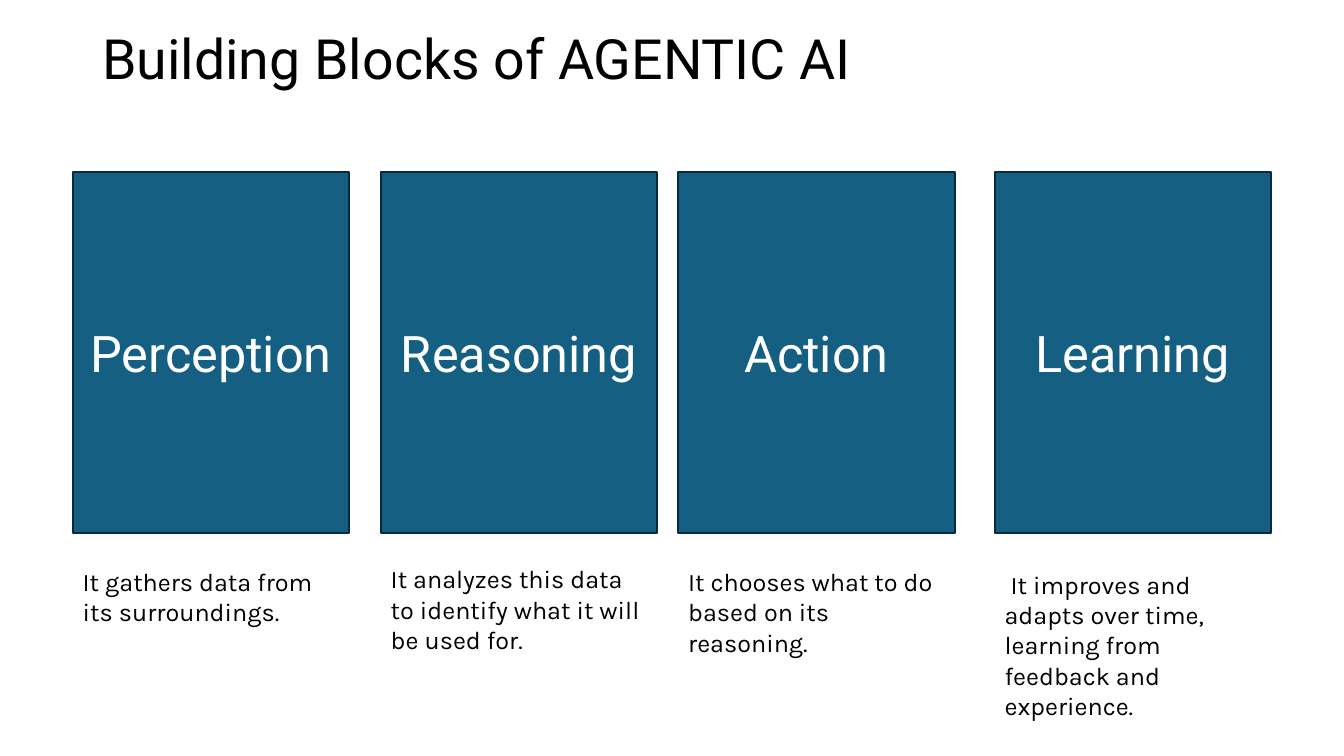
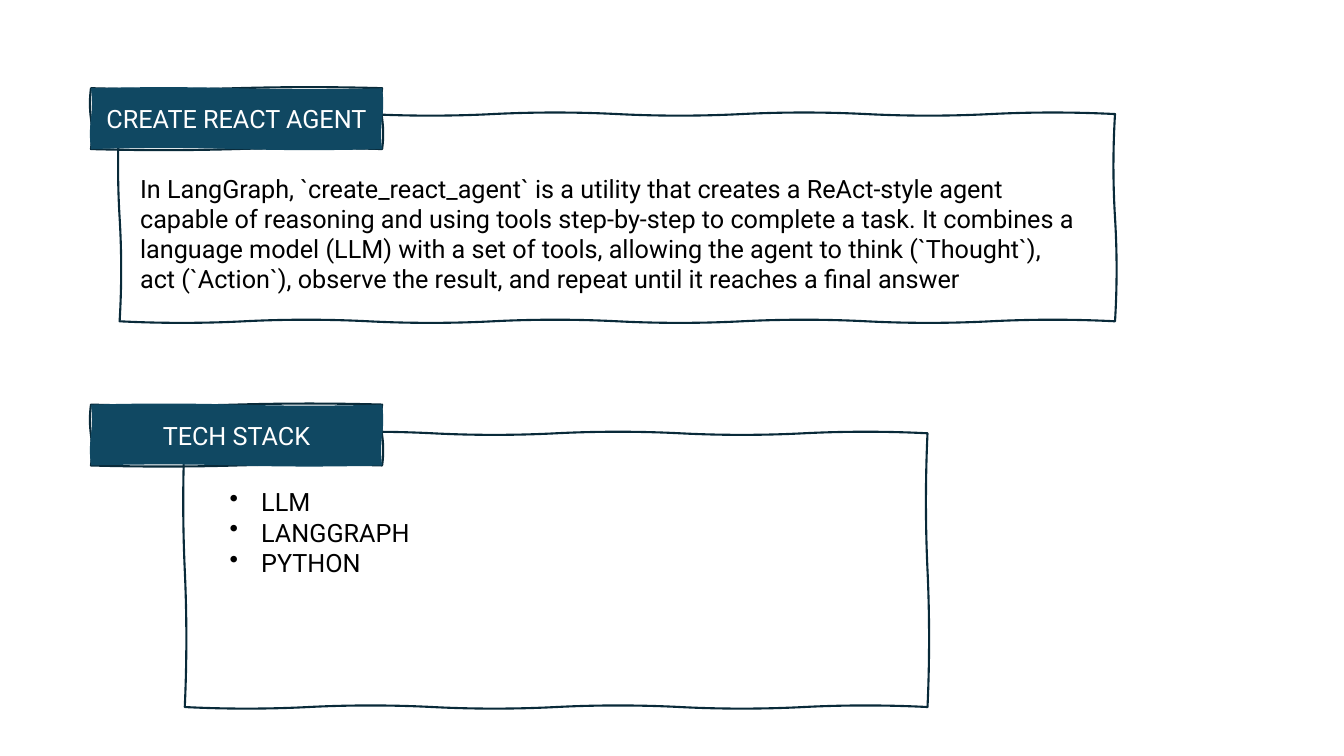
"""Build two slides on the building blocks and tools of agentic AI."""
import math
from dataclasses import dataclass

from pptx import Presentation
from pptx.dml.color import RGBColor
from pptx.enum import shapes, text
from pptx.oxml import ns, xmlchemy
from pptx.util import Pt


@dataclass(frozen=True)
class Theme:
    """Colours, fonts and type sizes shared by the slides."""

    ink: RGBColor = RGBColor(0x00, 0x00, 0x00)
    paper: RGBColor = RGBColor(0xFF, 0xFF, 0xFF)
    card: RGBColor = RGBColor(0x15, 0x60, 0x82)
    banner: RGBColor = RGBColor(0x10, 0x48, 0x62)
    outline: RGBColor = RGBColor(0x09, 0x2A, 0x39)
    outline_width: float = 1.5
    sans: str = "Roboto"
    caption_font: str = "Karla"
    title_size: float = 39.6
    card_size: float = 36
    body_size: float = 18


THEME = Theme()

BLOCKS = [
    ("Perception", "It gathers data from its surroundings.", 52, 401),
    ("Reasoning", "It analyzes this data to identify what it will be used for.", 272, 399),
    ("Action", "It chooses what to do based on its reasoning.", 484.5, 401),
    ("Learning", " It improves and adapts over time, learning from feedback and experience.", 710.5, 403),
]
AGENT_TEXT = (
    "In LangGraph, `create_react_agent` is a utility that creates a ReAct-style agent "
    "capable of reasoning and using tools step-by-step to complete a task. It combines "
    "a language model (LLM) with a set of tools, allowing the agent to think (`Thought`), "
    "act (`Action`), observe the result, and repeat until it reaches a final answer"
)
TECH_STACK = ["LLM", "LANGGRAPH", "PYTHON"]


def add_bullet(paragraph, indent):
    """Give a paragraph a hanging round bullet."""
    properties = paragraph._p.get_or_add_pPr()
    properties.set("marL", str(Pt(indent)))
    properties.set("indent", str(-Pt(indent)))
    bullet = xmlchemy.OxmlElement("a:buChar")
    bullet.set("char", "•")
    properties.append(bullet)


def write(shape, *lines, size=THEME.body_size, font=THEME.sans, color=THEME.ink,
          align=text.PP_ALIGN.LEFT, anchor=text.MSO_ANCHOR.TOP, spacing=None, bullet_indent=None):
    """Fill a shape with formatted paragraphs, one for each line."""
    frame = shape.text_frame
    frame.word_wrap = True
    frame.vertical_anchor = anchor
    for index, line in enumerate(lines):
        paragraph = frame.add_paragraph() if index else frame.paragraphs[0]
        paragraph.alignment = align
        paragraph.line_spacing = spacing
        if bullet_indent:
            add_bullet(paragraph, bullet_indent)
        run = paragraph.add_run()
        run.text = line
        run.font.size = Pt(size)
        run.font.name = font
        run.font.color.rgb = color


def write_centred(shape, line, size):
    """Put one light line in the middle of a dark shape."""
    write(shape, line, size=size, color=THEME.paper,
          align=text.PP_ALIGN.CENTER, anchor=text.MSO_ANCHOR.MIDDLE)


def add_label(slide, box, *lines, **style):
    """Add a text box with the given format."""
    write(slide.shapes.add_textbox(*map(Pt, box)), *lines, **style)


def paint(shape, fill=None, outlined=True):
    """Set the fill and the outline of a shape and drop its shadow."""
    shape.shadow.inherit = False
    if fill is None:
        shape.fill.background()
    else:
        shape.fill.solid()
        shape.fill.fore_color.rgb = fill
    if outlined:
        shape.line.color.rgb = THEME.outline
        shape.line.width = Pt(THEME.outline_width)
    else:
        shape.line.fill.background()


def wavy_edge(start, end, swing):
    """List the curve points of an edge that bends to each side in turn."""
    (x1, y1), (x2, y2) = start, end
    length = math.hypot(x2 - x1, y2 - y1)
    bends = max(2, round(length / 90))
    points = []
    for third in range(1, 3 * bends + 1):
        t = third / (3 * bends)
        offset = 0 if third % 3 == 0 else swing * (-1) ** (third // 3) / length
        points.append((x1 + (x2 - x1) * t - (y2 - y1) * offset,
                       y1 + (y2 - y1) * t + (x2 - x1) * offset))
    return points


def curve_segments(shape):
    """Turn each three line segments of a freeform into one curve."""
    lines = list(shape._element.iter(ns.qn("a:lnTo")))
    for first in range(0, len(lines), 3):
        curve = xmlchemy.OxmlElement("a:cubicBezTo")
        lines[first].addprevious(curve)
        for line in lines[first:first + 3]:
            curve.append(line[0])
            line.getparent().remove(line)


def add_sketch(slide, box, swing=1.5, **look):
    """Add a rectangle with hand-drawn edges."""
    left, top, width, height = box
    right, bottom = left + width, top + height
    corners = [(left, top), (right, top), (right, bottom), (left, bottom)]
    points = []
    for start, end in zip(corners, corners[1:] + corners[:1]):
        points += wavy_edge(start, end, swing)
    builder = slide.shapes.build_freeform(Pt(left), Pt(top))
    builder.add_line_segments([(Pt(x), Pt(y)) for x, y in points])
    sketch = builder.convert_to_shape()
    curve_segments(sketch)
    paint(sketch, **look)
    return sketch


def add_banner(slide, heading, top):
    """Add a dark heading whose fill and outline do not quite match."""
    box = (65, top, 208, 43.5)
    add_sketch(slide, box, swing=1)
    banner = add_sketch(slide, box, swing=-1, fill=THEME.banner, outlined=False)
    write_centred(banner, heading, THEME.body_size)


def add_block(slide, name, caption, left, caption_top):
    """Add a building block card with its caption below."""
    card = slide.shapes.add_shape(shapes.MSO_SHAPE.RECTANGLE, *map(Pt, (left, 123, 197.5, 258)))
    paint(card, fill=THEME.card)
    write_centred(card, name, THEME.card_size)
    add_label(slide, (left, caption_top, 197.5, 51), caption, font=THEME.caption_font)


def build_blocks_slide(slide):
    """Show the four building blocks."""
    add_label(slide, (66, 29, 828, 29.5), "Building Blocks of AGENTIC AI",
              size=THEME.title_size, anchor=text.MSO_ANCHOR.MIDDLE, spacing=0.9)
    for block in BLOCKS:
        add_block(slide, *block)


def build_tools_slide(slide):
    """Show the agent utility and the tech stack."""
    add_sketch(slide, (132, 309.5, 530.5, 195.5))
    add_sketch(slide, (85.5, 81.5, 711, 148))
    add_banner(slide, "CREATE REACT AGENT", 63)
    add_label(slide, (93, 120, 684, 94.5), AGENT_TEXT)
    add_banner(slide, "TECH STACK", 289)
    add_label(slide, (157, 344, 480, 73), *TECH_STACK, bullet_indent=22.5)


def main():
    """Build and save the presentation."""
    deck = Presentation()
    deck.slide_width, deck.slide_height = Pt(960), Pt(540)
    for build in (build_blocks_slide, build_tools_slide):
        build(deck.slides.add_slide(deck.slide_layouts[6]))
    deck.save("out.pptx")


if __name__ == "__main__":
    main()
